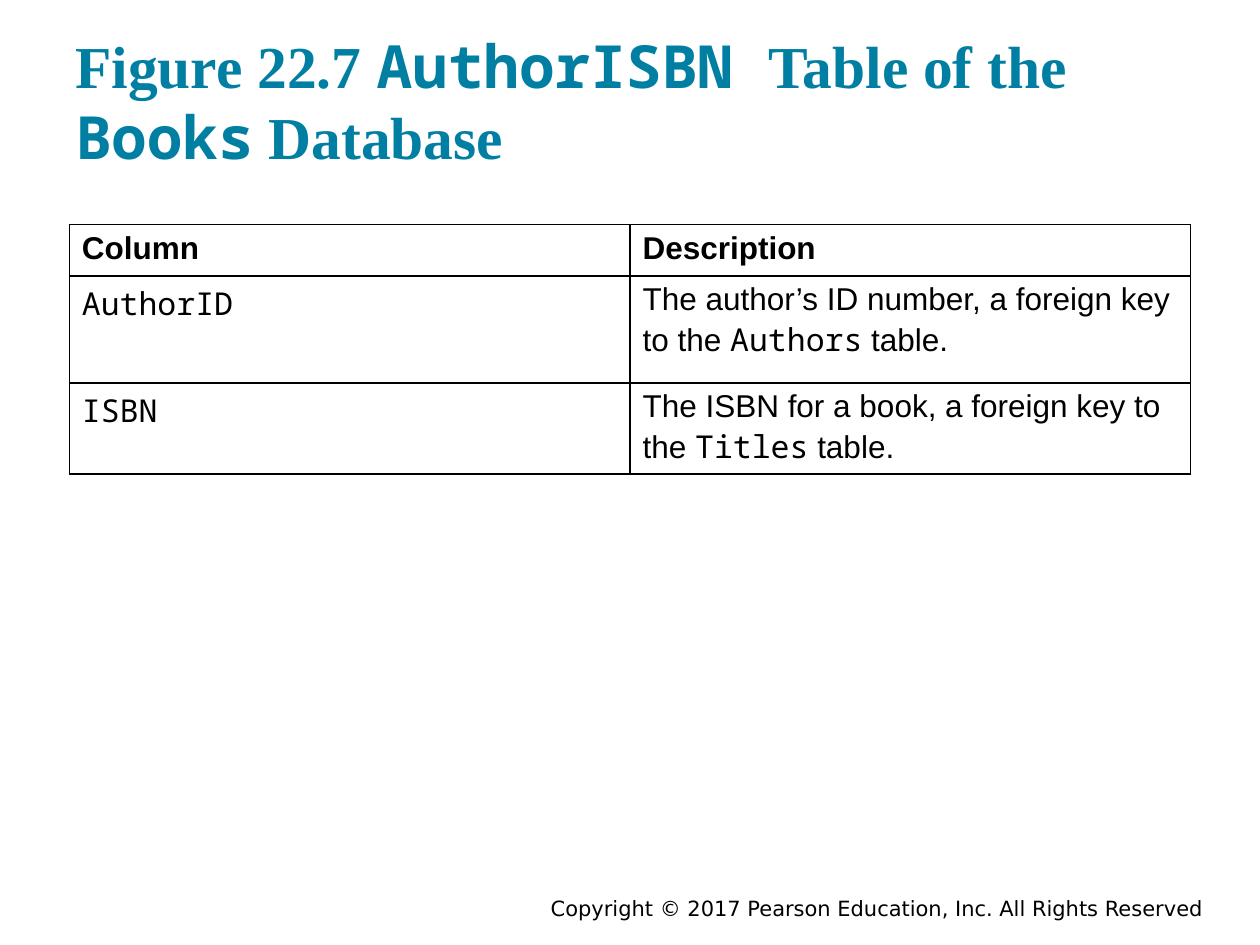
from lxml.etree import SubElement as Sub
from pptx import Presentation as Deck
from pptx.dml.color import RGBColor as Rgb
from pptx.enum.text import MSO_ANCHOR as Anchor, MSO_AUTO_SIZE as Fit, PP_ALIGN as Align
from pptx.oxml.ns import qn
from pptx.util import Inches, Pt

WIDE, HIGH = 10, 7.5
ROWS = [
    ("Column", "Description"),
    ("`AuthorID`", "The author’s ID number, a foreign key to the `Authors` table."),
    ("`ISBN`", "The ISBN for a book, a foreign key to the `Titles` table."),
]


def tint(code):
    return Rgb.from_string(code)


class Page:
    ink, teal = "000000", "007FA3"
    head, body, code, foot = "Times New Roman", "Arial", "Noto Sans Mono", "DejaVu Sans"

    def __init__(self, deck):
        deck.slide_width, deck.slide_height = Inches(WIDE), Inches(HIGH)
        self.slide = deck.slides.add_slide(deck.slide_layouts[5])

    def box(self, x, y, w, h):
        return [Inches(n) for n in (x * WIDE, y * HIGH, w * WIDE, h * HIGH)]

    def words(self, para, text, face, size, color, bold=False):
        for i, part in enumerate(text.split("`")):
            if part:
                run = para.add_run()
                run.text = part
                font = run.font
                font.name = self.code if i % 2 else face
                font.size, font.bold = Pt(size), bold
                font.color.rgb = tint(color)

    def title(self, text, *area):
        shape = self.slide.shapes.title
        shape.left, shape.top, shape.width, shape.height = self.box(*area)
        frame = shape.text_frame
        frame.word_wrap, frame.auto_size = True, Fit.NONE
        frame.vertical_anchor = Anchor.BOTTOM
        frame.margin_top = frame.margin_bottom = Inches(0.1)
        para = frame.paragraphs[0]
        para.alignment = Align.LEFT
        self.words(para, text, self.head, 34, self.teal, True)

    def note(self, text, *area):
        frame = self.slide.shapes.add_textbox(*self.box(*area)).text_frame
        frame.word_wrap = True
        frame.vertical_anchor = Anchor.MIDDLE
        para = frame.paragraphs[0]
        para.alignment = Align.RIGHT
        self.words(para, text, self.foot, 12, self.ink)

    def edge(self, cell):
        props = cell._tc.get_or_add_tcPr()
        for side in ("lnL", "lnR", "lnT", "lnB"):
            line = Sub(props, qn("a:" + side), w=str(Pt(1)))
            Sub(Sub(line, qn("a:solidFill")), qn("a:srgbClr"), val=self.ink)
        cell.fill.background()

    def table(self, rows, highs, *area):
        grid = self.slide.shapes.add_table(len(rows), len(rows[0]), *self.box(*area)).table
        grid.first_row = grid.horz_banding = False
        for r, (row, high) in enumerate(zip(rows, highs)):
            grid.rows[r].height = Inches(high * HIGH)
            for c, text in enumerate(row):
                cell = grid.cell(r, c)
                self.edge(cell)
                para = cell.text_frame.paragraphs[0]
                self.words(para, text, self.body, 18, self.ink, r == 0)


def main():
    deck = Deck()
    page = Page(deck)
    page.title("Figure 22.7 `AuthorISBN `Table of the `Books` Database",
               0.05, 0.29 / HIGH, 0.9, 1.17 / HIGH)
    highs = [n / HIGH for n in (0.41, 0.85, 0.7)]
    page.table(ROWS, highs, 0.055, 1.78 / HIGH, 0.89, sum(highs))
    page.note("Copyright © 2017 Pearson Education, Inc. All Rights Reserved",
              0.3, 7.08 / HIGH, 0.665, 0.25 / HIGH)
    deck.save("out.pptx")


if __name__ == "__main__":
    main()
